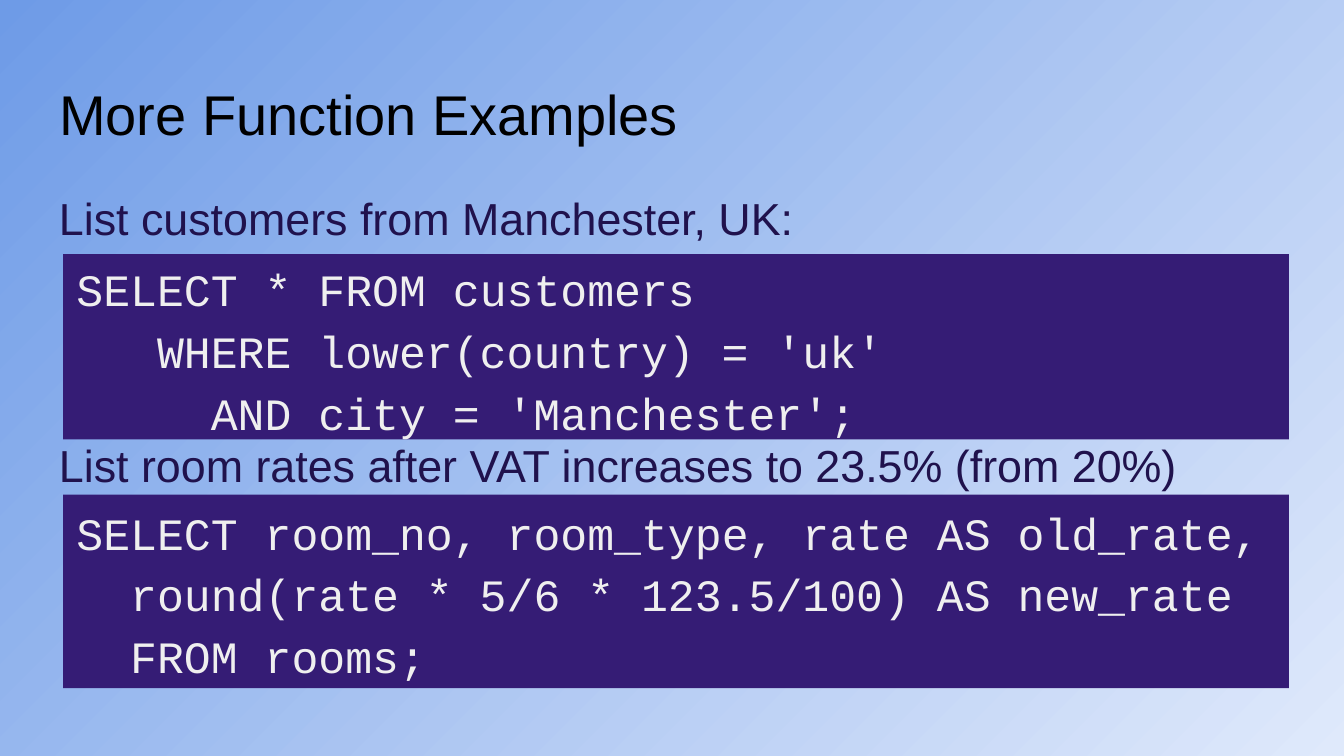
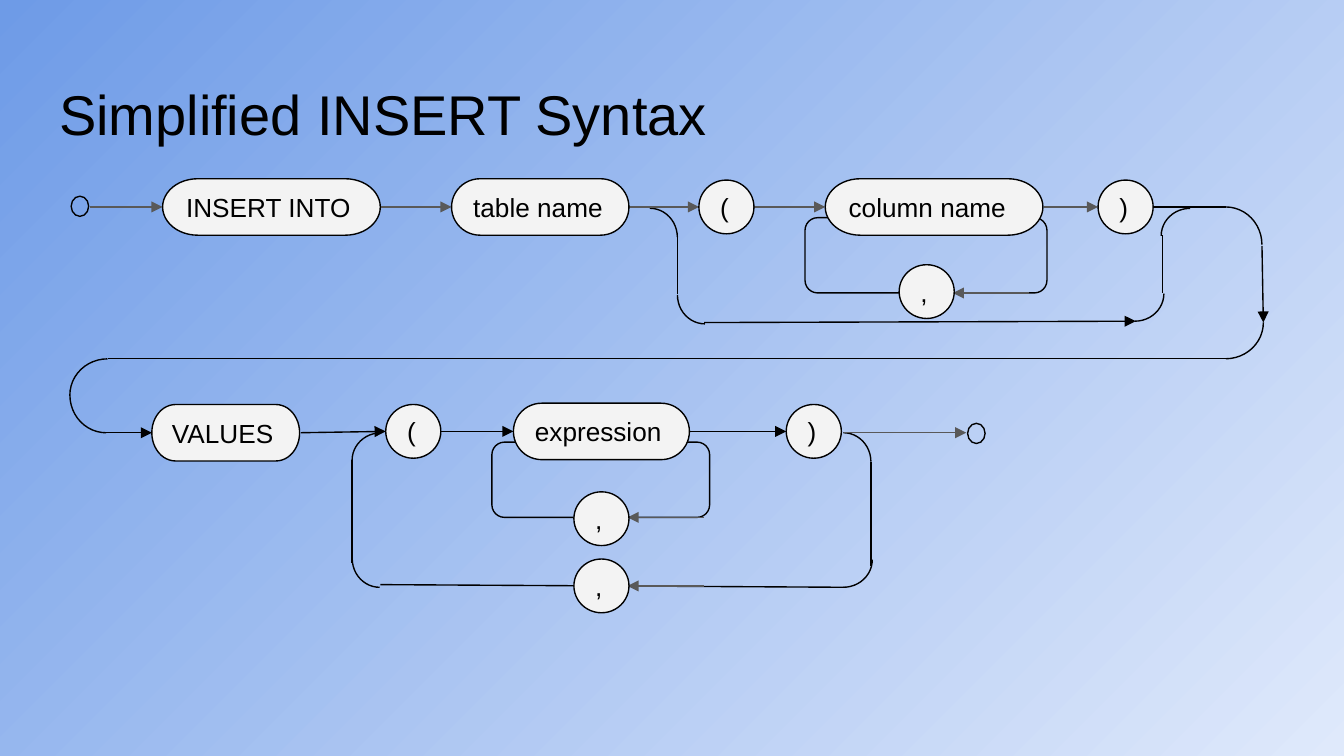
from pptx import Presentation
from pptx.dml.color import RGBColor
from pptx.enum.shapes import MSO_CONNECTOR, MSO_SHAPE
from pptx.enum.text import MSO_ANCHOR, MSO_AUTO_SIZE, PP_ALIGN
from pptx.oxml.ns import qn
from pptx.util import Inches, Pt
from lxml.etree import SubElement

BLACK = RGBColor(0x00, 0x00, 0x00)
GRAY = RGBColor(0x59, 0x59, 0x59)
NODE = RGBColor(0xF3, 0xF3, 0xF3)
INDIGO = RGBColor(0x20, 0x12, 0x4D)
PURPLE = RGBColor(0x35, 0x1C, 0x75)
CODE = RGBColor(0xEF, 0xEF, 0xEF)
SKY = RGBColor(0x6E, 0x9B, 0xE7)
PALE = RGBColor(0xDF, 0xE9, 0xFB)
LINE_WIDTH = Pt(0.74)

prs = Presentation()
prs.slide_width, prs.slide_height = Inches(10), Inches(5.625)
CELL = prs.slide_width / 100  # square grid, 100 columns wide


def write(sp, lines, size=14, font="Arial", color=BLACK, anchor=MSO_ANCHOR.TOP,
          top=1, spacing=1.0, indents=(), gap=0):
    """Fill a shape with lines; indents are in cells, gap is in lines."""
    tf = sp.text_frame
    tf.word_wrap, tf.auto_size = True, MSO_AUTO_SIZE.NONE
    tf.vertical_anchor = anchor
    tf.margin_left = tf.margin_right = tf.margin_bottom = int(CELL)
    tf.margin_top = int(top * CELL)
    pitch = size * 1.2 * spacing
    for i, line in enumerate(lines):
        p = tf.add_paragraph() if i else tf.paragraphs[0]
        p.alignment, p.line_spacing = PP_ALIGN.LEFT, Pt(pitch)
        p.space_before = Pt(gap * pitch if i else 0)
        if indents:
            p._p.get_or_add_pPr().set("marL", str(int(indents[i] * CELL)))
        r = p.add_run()
        r.text = line
        r.font.size, r.font.name, r.font.color.rgb = Pt(size), font, color


def place(s, kind, x, y, w, h, fill=None, line=BLACK):
    """Add a preset shape at grid coordinates."""
    sp = s.shapes.add_shape(kind, *(int(v * CELL) for v in (x, y, w, h)))
    sp.shadow.inherit = False
    if fill is None:
        sp.fill.background()
    else:
        sp.fill.solid()
        sp.fill.fore_color.rgb = fill
    if line is None:
        sp.line.fill.background()
    else:
        sp.line.color.rgb, sp.line.width = line, LINE_WIDTH
    return sp


# Shared background, from pale at bottom right to blue at top left
bg = prs.slide_master.background.fill
bg.gradient()
bg.gradient_angle = 135
for stop, color in zip(bg.gradient_stops, (PALE, SKY)):
    stop.color.rgb = color

# Slides and titles
slides = []
for title in ("More Function Examples", "Simplified INSERT Syntax"):
    s = prs.slides.add_slide(prs.slide_layouts[5])
    sp = s.shapes.title
    sp.left, sp.top, sp.width, sp.height = (int(v * CELL) for v in (3.4, 4.9, 93.2, 6.3))
    write(sp, [title], size=30)
    slides.append(s)
examples, syntax = slides

# Function examples: captions with room for three code lines between them
sp = examples.shapes.add_textbox(*(int(v * CELL) for v in (3.4, 12.6, 93.2, 37.4)))
write(sp, ["List customers from Manchester, UK:",
           "List room rates after VAT increases to 23.5% (from 20%)"],
      size=24, color=INDIGO, spacing=1.15, gap=3)

# Code panels; one character is two cells wide
for y, h, top, indents, lines in (
    (18.9, 13.8, 0, (0, 6, 10),
     ("SELECT * FROM customers", "WHERE lower(country) = 'uk'", "AND city = 'Manchester';")),
    (36.8, 14.4, 0.2, (0, 4, 4),
     ("SELECT room_no, room_type, rate AS old_rate,",
      "round(rate * 5/6 * 123.5/100) AS new_rate", "FROM rooms;")),
):
    sp = place(examples, MSO_SHAPE.RECTANGLE, 4.7, y, 91.2, h, fill=PURPLE, line=None)
    write(sp, lines, size=24, font="Courier New", color=CODE, top=top,
          spacing=1.15, indents=indents)

# Syntax diagram: repeat loops under the list items
for x, y, w in ((59.9, 16.2, 18), (36.6, 32.9, 16.2)):
    place(syntax, MSO_SHAPE.FLOWCHART_ALTERNATE_PROCESS, x, y, w, 5.6)

# Corner arcs: the preset is the top right quarter, turned clockwise
TOP_RIGHT, BOTTOM_RIGHT, BOTTOM_LEFT, TOP_LEFT = 0, 90, 180, 270
LARGE, SMALL = (5.4, 5.6), (4.1, 4.3)
for x, y, (w, h), turn in (
    (88.5, 15.4, LARGE, TOP_RIGHT), (88.5, 21.2, LARGE, BOTTOM_RIGHT),
    (5.3, 26.6, LARGE, TOP_LEFT), (5.2, 26.6, LARGE, BOTTOM_LEFT),
    (60.7, 32.2, SMALL, TOP_RIGHT), (60.7, 39.5, SMALL, BOTTOM_RIGHT),
    (26.3, 32.1, SMALL, TOP_LEFT), (26.2, 39.4, SMALL, BOTTOM_LEFT),
    (46.3, 15.5, SMALL, TOP_RIGHT), (50.4, 19.8, SMALL, BOTTOM_LEFT),
    (86.5, 15.4, SMALL, TOP_LEFT), (82.4, 19.7, SMALL, BOTTOM_RIGHT),
):
    place(syntax, MSO_SHAPE.ARC, x, y, w, h).rotation = turn

# Tracks between the nodes: start, end, colour, arrowhead
for x1, y1, x2, y2, color, arrow in (
    (6.7, 15.4, 12.1, 15.4, GRAY, True),
    (28.3, 15.4, 33.6, 15.4, GRAY, True),
    (46.7, 15.4, 52, 15.4, GRAY, True),
    (56.1, 15.4, 61.4, 15.4, GRAY, True),
    (77.7, 15.4, 81.7, 15.4, GRAY, True),
    (85.8, 15.4, 91.2, 15.4, BLACK, False),
    (76.6, 21.8, 70.9, 21.8, GRAY, True),
    (50.4, 17.6, 50.4, 21.9, BLACK, False),
    (52.4, 24, 84.5, 23.9, BLACK, True),
    (86.5, 17.5, 86.5, 21.8, BLACK, False),
    (93.9, 18.3, 94, 24, BLACK, True),
    (91.2, 26.7, 8, 26.7, BLACK, False),
    (7.9, 32.2, 11.3, 32.2, BLACK, True),
    (22.4, 32.2, 28.7, 32.1, BLACK, True),
    (32.8, 32.1, 38.2, 32.1, BLACK, True),
    (51.2, 32.1, 58.5, 32.1, BLACK, True),
    (62.8, 32.2, 71.9, 32.2, GRAY, True),
    (52.4, 38.5, 46.7, 38.5, GRAY, True),
    (64.8, 34.4, 64.8, 42.1, BLACK, False),
    (26.2, 34.2, 26.2, 41.9, BLACK, False),
    (28.3, 43.5, 62.8, 43.7, BLACK, False),
    (52.4, 43.6, 46.7, 43.6, GRAY, True),
):
    track = syntax.shapes.add_connector(
        MSO_CONNECTOR.STRAIGHT, *(int(v * CELL) for v in (x1, y1, x2, y2)))
    track.line.color.rgb, track.line.width = color, LINE_WIDTH
    if arrow:
        SubElement(track.line._get_or_add_ln(), qn("a:tailEnd"), type="triangle")
    SubElement(track._element.spPr, qn("a:effectLst"))

# Start and end points
for x, y in ((5.3, 14.6), (72, 31.5)):
    place(syntax, MSO_SHAPE.OVAL, x, y, 1.3, 1.5)

# Words and symbols
words = [(MSO_SHAPE.FLOWCHART_TERMINATOR, x, y, w, 4.2, text) for x, y, w, text in (
    (12.1, 13.3, 16.2, "INSERT INTO"), (33.6, 13.3, 13.2, "table name"),
    (61.4, 13.3, 16.2, "column name"), (11.3, 30.1, 11, "VALUES"),
    (38.2, 30, 13.1, "expression"))]
symbols = [(MSO_SHAPE.OVAL, x, y, 4.1, 4, text) for x, y, text in (
    (52, 13.4, "("), (81.7, 13.4, ")"), (66.9, 19.7, ","),
    (28.7, 30.1, "("), (58.5, 30.1, ")"), (42.7, 36.6, ","), (42.7, 41.6, ","))]
for kind, x, y, w, h, text in words + symbols:
    sp = place(syntax, kind, x, y, w, h, fill=NODE)
    write(sp, [text], anchor=MSO_ANCHOR.MIDDLE)

prs.save("out.pptx")
